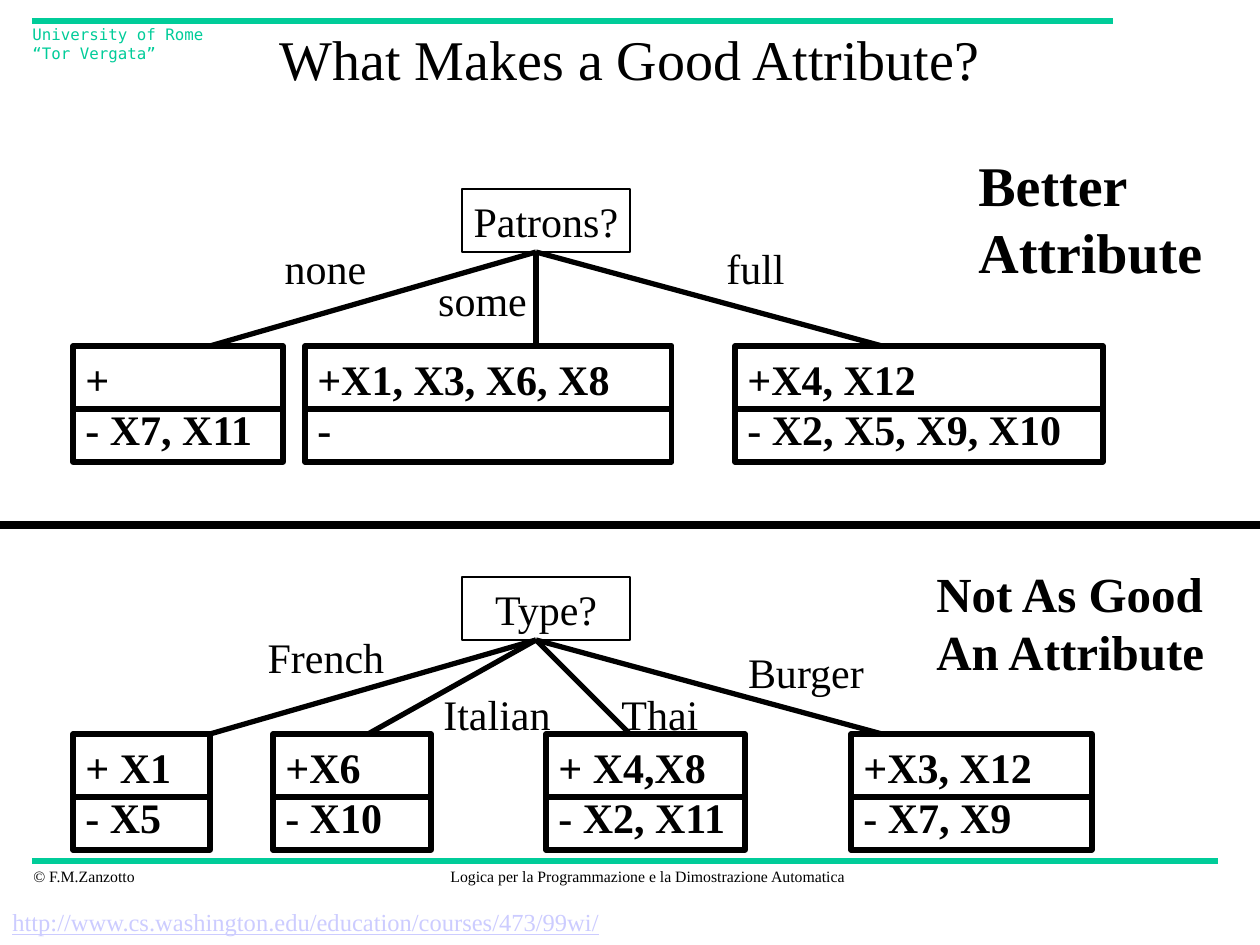
from pptx import Presentation
from pptx import util as u
from pptx.dml.color import RGBColor
from pptx.enum import shapes, text
from pptx.oxml.ns import qn
from lxml import etree

BLACK = RGBColor(0, 0, 0)
GREEN = RGBColor(0, 204, 153)
PALE = RGBColor(204, 204, 255)
SERIF = "Times New Roman"
MONO = "DejaVu Sans Mono"
LEFT = text.PP_ALIGN.LEFT
MID = text.PP_ALIGN.CENTER


def px(n):
    return u.Emu(round(n * 914400 / 126))


class Deck:
    def __init__(self, wide, high):
        self.prs = Presentation()
        self.prs.slide_width, self.prs.slide_height = px(wide), px(high)
        self.slide = self.prs.slides.add_slide(self.prs.slide_layouts[5])
        self.shapes = self.slide.shapes

    def style(self, frame, words, size, align=LEFT, bold=False, color=BLACK, font=SERIF, under=False):
        frame.text = words
        for para in frame.paragraphs:
            para.alignment = align
            for run in para.runs:
                face = run.font
                face.size, face.name, face.bold = u.Pt(size), font, bold
                face.color.rgb = color
                if under:
                    face.underline = True

    def title(self, words, x, y, w, h, size):
        head = self.shapes.title
        head.left, head.top, head.width, head.height = map(px, (x, y, w, h))
        head.text_frame.vertical_anchor = text.MSO_ANCHOR.MIDDLE
        self.style(head.text_frame, words, size, MID)

    def label(self, words, x, y, w, h, size, wrap=False, **look):
        box = self.shapes.add_textbox(*map(px, (x, y, w, h)))
        box.text_frame.word_wrap = wrap
        box.text_frame.auto_size = text.MSO_AUTO_SIZE.SHAPE_TO_FIT_TEXT
        self.style(box.text_frame, words, size, **look)

    def line(self, x1, y1, x2, y2, width=3, color=BLACK):
        edge = self.shapes.add_connector(shapes.MSO_CONNECTOR.STRAIGHT, *map(px, (x1, y1, x2, y2)))
        edge.line.width = u.Pt(width)
        edge.line.color.rgb = color
        etree.SubElement(edge._element.spPr, qn("a:effectLst"))

    def box(self, words, x, y, w, h, width, **look):
        rect = self.shapes.add_shape(shapes.MSO_SHAPE.RECTANGLE, *map(px, (x, y, w, h)))
        rect.shadow.inherit = False
        rect.fill.background()
        rect.line.width = u.Pt(width)
        rect.line.color.rgb = BLACK
        rect.text_frame.word_wrap = False
        rect.text_frame.vertical_anchor = text.MSO_ANCHOR.MIDDLE
        self.style(rect.text_frame, words, 24, **look)

    def tree(self, root, top, leaves, ends, labels):
        base, row = top + 63, top + 157
        self.box(root, 462, top, 168, 63, 0.75, align=MID)
        for words, x, w in leaves:
            self.box(words, x, row, w, 116, 3, bold=True)
            self.line(x, row + 63, x + w, row + 63)
        for end in ends:
            self.line(536, base, end, row)
        for words, x, drop, w in labels:
            self.label(words, x, top + drop, w, 63, 24, align=MID)


def main():
    deck = Deck(1260, 945)
    deck.line(32, 861, 1218, 861, color=GREEN)
    deck.line(32, 21, 1113, 21, color=GREEN)
    deck.label("© F.M.Zanzotto", 21, 861, 129, 32, 9)
    deck.label("Logica per la Programmazione e la Dimostrazione Automatica", 435, 861, 425, 32, 9, align=MID)
    deck.label("University of Rome\v“Tor Vergata”", 20, 19, 215, 32, 9, color=GREEN, font=MONO)
    deck.title("What Makes a Good Attribute?", 0, 0, 1260, 116, 32)

    deck.tree(
        "Patrons?", 189,
        [("+\n- X7, X11", 73, 210), ("+X1, X3, X6, X8\n-", 305, 367), ("+X4, X12\n- X2, X5, X9, X10", 735, 368)],
        [210, 536, 882],
        [("none", 266, 47, 119), ("some", 420, 79, 125), ("full", 708, 47, 95)],
    )
    deck.label("Better\nAttribute", 966, 144, 249, 147, 32, bold=True)
    deck.line(0, 525, 1260, 525, 4.5)

    deck.tree(
        "Type?", 577,
        [("+ X1\n- X5", 73, 137), ("+X6\n- X10", 273, 158), ("+ X4,X8\n- X2, X11", 546, 199), ("+X3, X12\n- X7, X9", 851, 241)],
        [210, 368, 630, 882],
        [("French", 249, 48, 154), ("Italian", 425, 105, 144), ("Thai", 603, 105, 114), ("Burger", 729, 63, 154)],
    )
    deck.label("Not As Good An Attribute", 924, 557, 305, 130, 28, wrap=True, bold=True)
    deck.label("http://www.cs.washington.edu/education/courses/473/99wi/", 0, 901, 620, 42, 14, color=PALE, under=True)
    deck.prs.save("out.pptx")


if __name__ == "__main__":
    main()
